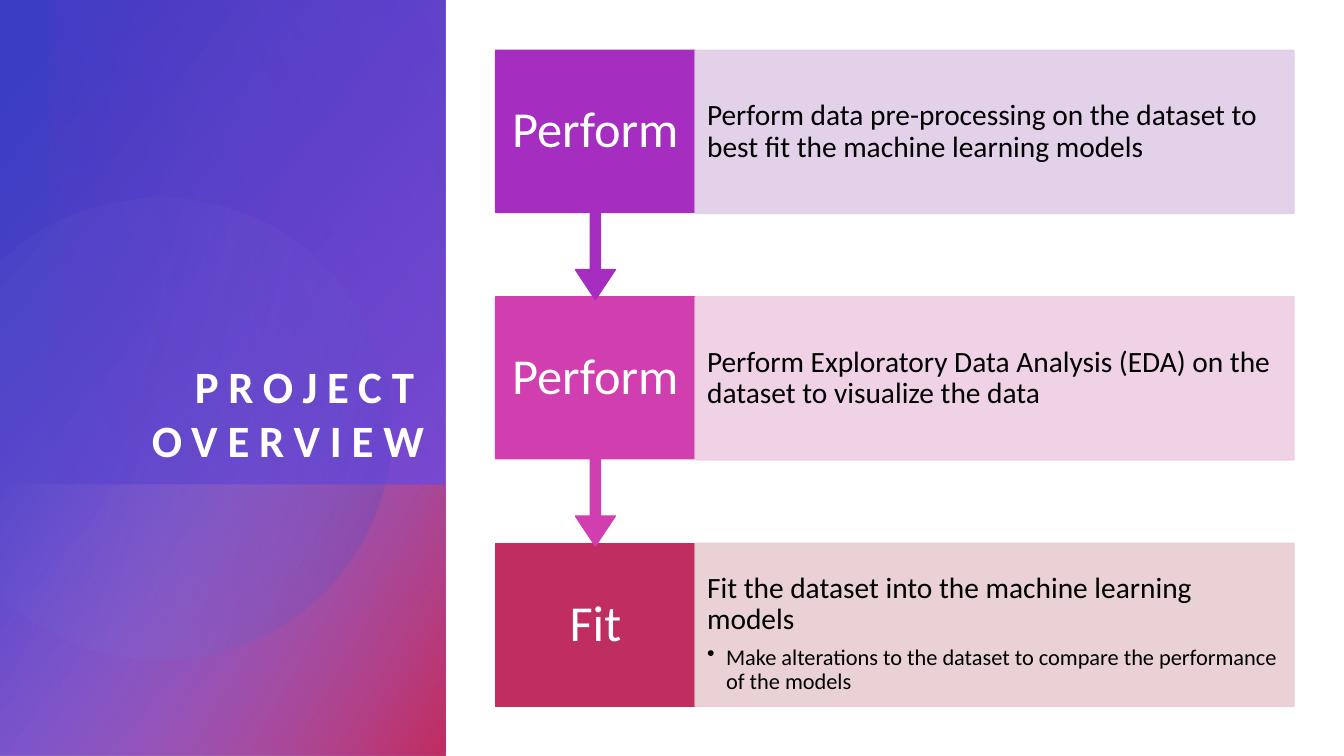
"""Build the project overview slide: a gradient title panel beside a three-step process."""
import math

import lxml.etree
import pptx
import pptx.dml.color
import pptx.enum.shapes
import pptx.enum.text
import pptx.oxml
import pptx.oxml.ns
import pptx.util

Cm, Pt = pptx.util.Cm, pptx.util.Pt
SHAPES = pptx.enum.shapes.MSO_SHAPE
ALIGN = pptx.enum.text.PP_ALIGN
ANCHOR = pptx.enum.text.MSO_ANCHOR
qn = pptx.oxml.ns.qn
COLOURS = {
    "white": "FFFFFF", "black": "000000",
    "blue": "3B3EC4", "violet": "793ED1", "lilac": "AF8BE3", "periwinkle": "898BDC",
    "purple": "A52DC0", "pink": "D13EAF", "red": "C02D60",
    "pale purple": "E1CDE8", "pale pink": "EECEE3", "pale red": "E8CDD2",
}
FONT = "Calibri"


def paint_gradient(shape, angle, stops):
    """Fill a shape with stops of (position %, colour name, opacity %)."""
    shape.shadow.inherit = False
    shape.line.fill.background()
    shape.fill.background()
    marks = "".join(
        f'<a:gs pos="{position * 1000}"><a:srgbClr val="{COLOURS[colour]}">'
        f'<a:alpha val="{opacity * 1000}"/></a:srgbClr></a:gs>'
        for position, colour, opacity in stops)
    gradient = pptx.oxml.parse_xml(
        f'<a:gradFill {pptx.oxml.ns.nsdecls("a")} rotWithShape="1"><a:gsLst>{marks}</a:gsLst>'
        f'<a:lin ang="{angle * 60000}" scaled="0"/></a:gradFill>')
    properties = shape.element.spPr
    properties.replace(properties.find(qn("a:noFill")), gradient)


def style_paragraph(para, size, colour, spacing=0.9):
    """Set the font and line spacing of a paragraph."""
    para.line_spacing = spacing
    for span in para.runs:
        span.font.name = FONT
        span.font.size = Pt(size)
        span.font.color.rgb = pptx.dml.color.RGBColor.from_string(COLOURS[colour])


deck = pptx.Presentation()
deck.slide_width, deck.slide_height = Cm(33.87), Cm(19.05)
page = deck.slides.add_slide(deck.slide_layouts[5])

panels = [
    (0, 0, 11.23, 19.05, 40, [(8, "blue", 100), (100, "violet", 89)]),
    (0, 12.21, 11.23, 6.84, 30, [(0, "lilac", 0), (99, "red", 100)]),
]
for left, top, width, height, angle, stops in panels:
    panel = page.shapes.add_shape(SHAPES.RECTANGLE, Cm(left), Cm(top), Cm(width), Cm(height))
    paint_gradient(panel, angle, stops)

centre_x, centre_y, radius = 4.04, 10.8, 5.82
sweep = math.acos(-centre_x / radius)
steps = 120
rim = []
for step in range(steps + 1):
    turn = sweep * (2 * step / steps - 1)
    rim.append((Cm(centre_x + radius * math.cos(turn)), Cm(centre_y + radius * math.sin(turn))))
outline = page.shapes.build_freeform(*rim[0], scale=1.0)
outline.add_line_segments(rim[1:], close=True)
paint_gradient(outline.convert_to_shape(), 14, [(36, "periwinkle", 6), (100, "blue", 26)])

veil = page.shapes.add_shape(SHAPES.RECTANGLE, Cm(1.26), Cm(0), Cm(9.97), Cm(12.21))
paint_gradient(veil, 160, [(0, "violet", 29), (100, "purple", 0)])

title = page.shapes.title
page.shapes.element.append(title.element)
title.left, title.top, title.width, title.height = Cm(1.27), Cm(2.41), Cm(9.42), Cm(9.35)
frame = title.text_frame
frame.text = "PROJECT OVERVIEW"
frame.word_wrap = True
frame.auto_size = pptx.enum.text.MSO_AUTO_SIZE.NONE
frame.vertical_anchor = ANCHOR.BOTTOM
frame.margin_left = frame.margin_top = frame.margin_right = frame.margin_bottom = 0
heading = frame.paragraphs[0]
heading.alignment = ALIGN.RIGHT
style_paragraph(heading, 32, "white", 1.0)
heading.runs[0].font.bold = True
heading.runs[0].font._element.set("spc", "700")

row_top, row_pitch, row_height = 1.27, 6.21, 4.11
label_left, label_width, detail_width = 12.49, 5.03, 15.09
arrow_height = 6.28
rows = [
    ("Perform", "purple", "pale purple",
     ["Perform data pre-processing on the dataset to best fit the machine learning models"]),
    ("Perform", "pink", "pale pink",
     ["Perform Exploratory Data Analysis (EDA) on the dataset to visualize the data"]),
    ("Fit", "red", "pale red",
     ["Fit the dataset into the machine learning models",
      "Make alterations to the dataset to compare the performance of the models"]),
]
for index, (label, strong, pale, details) in reversed(list(enumerate(rows))):
    top = Cm(row_top + index * row_pitch)
    is_last = index == len(rows) - 1
    label_box = page.shapes.add_shape(
        SHAPES.RECTANGLE if is_last else SHAPES.DOWN_ARROW_CALLOUT,
        Cm(label_left), top, Cm(label_width), Cm(row_height if is_last else arrow_height))
    if not is_last:
        for number, value in enumerate((0.05, 0.1, 0.15, 0.65)):
            label_box.adjustments[number] = value
    detail_box = page.shapes.add_shape(
        SHAPES.RECTANGLE, Cm(label_left + label_width), top, Cm(detail_width), Cm(row_height))

    for box, colour in ((label_box, strong), (detail_box, pale)):
        box.shadow.inherit = False
        box.fill.solid()
        box.fill.fore_color.rgb = pptx.dml.color.RGBColor.from_string(COLOURS[colour])
        box.line.color.rgb = pptx.dml.color.RGBColor.from_string(COLOURS[colour])
        box.line.width = Pt(1)
        box.text_frame.word_wrap = True
        box.text_frame.vertical_anchor = ANCHOR.MIDDLE
    for tint in detail_box.element.spPr.iter(qn("a:srgbClr")):
        lxml.etree.SubElement(tint, qn("a:alpha")).set("val", "90000")

    frame = label_box.text_frame
    frame.margin_left = frame.margin_right = Cm(0.2)
    frame.text = label
    frame.paragraphs[0].alignment = ALIGN.CENTER
    style_paragraph(frame.paragraphs[0], 36, "white")

    frame = detail_box.text_frame
    frame.margin_left = frame.margin_right = Cm(0.3)
    frame.text = "\n".join(details)
    for para in frame.paragraphs:
        para.alignment = ALIGN.LEFT
        style_paragraph(para, 21, "black")
    if len(details) > 1:
        frame.vertical_anchor = ANCHOR.TOP
        frame.margin_top, frame.margin_bottom = Cm(0.74), 0
        frame.paragraphs[0].space_after = Pt(7)
        point = frame.paragraphs[1]
        style_paragraph(point, 16, "black")
        properties = point._p.get_or_add_pPr()
        properties.set("marL", str(Cm(0.48)))
        properties.set("indent", str(-Cm(0.48)))
        lxml.etree.SubElement(properties, qn("a:buChar")).set("char", "•")

deck.save("out.pptx")
